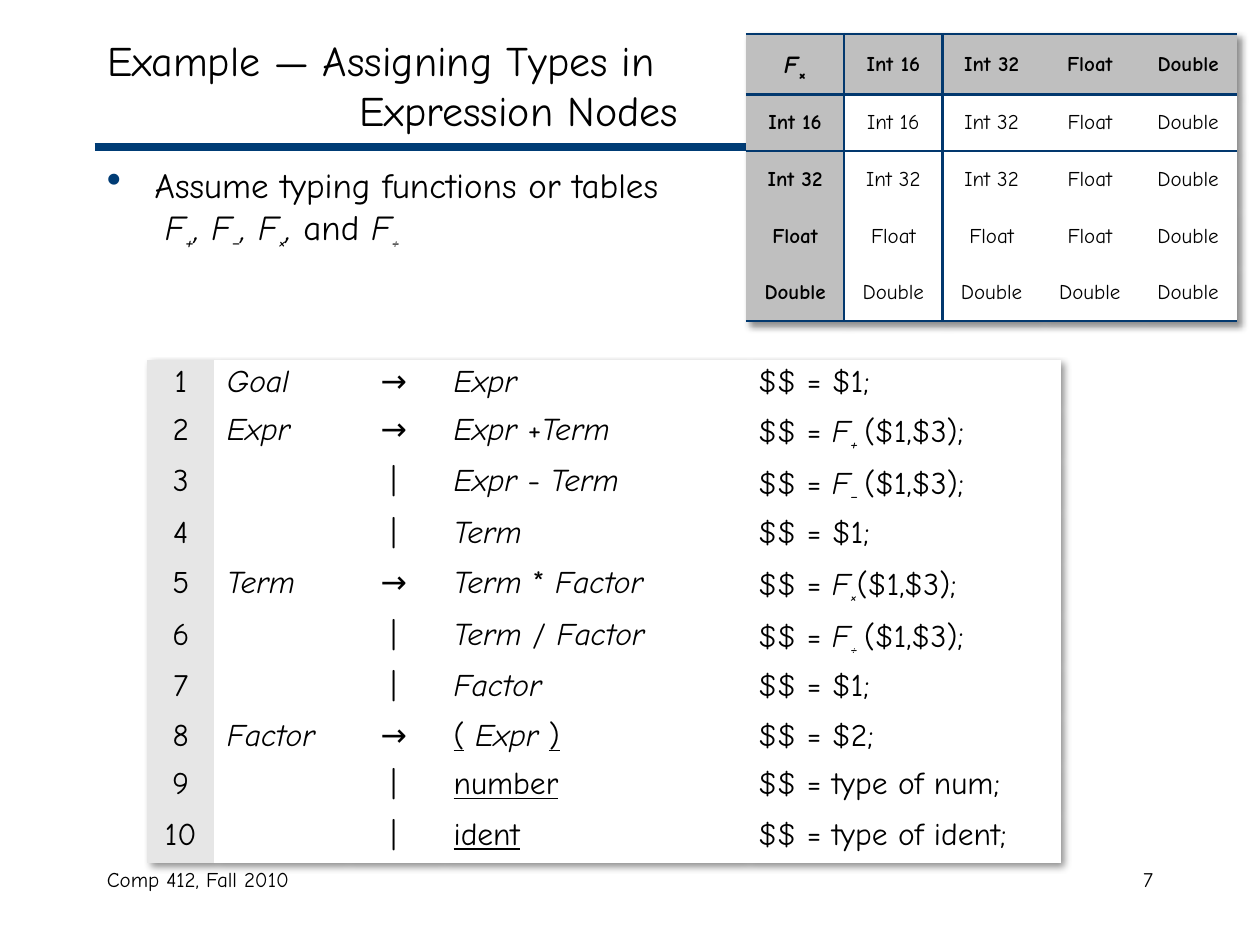
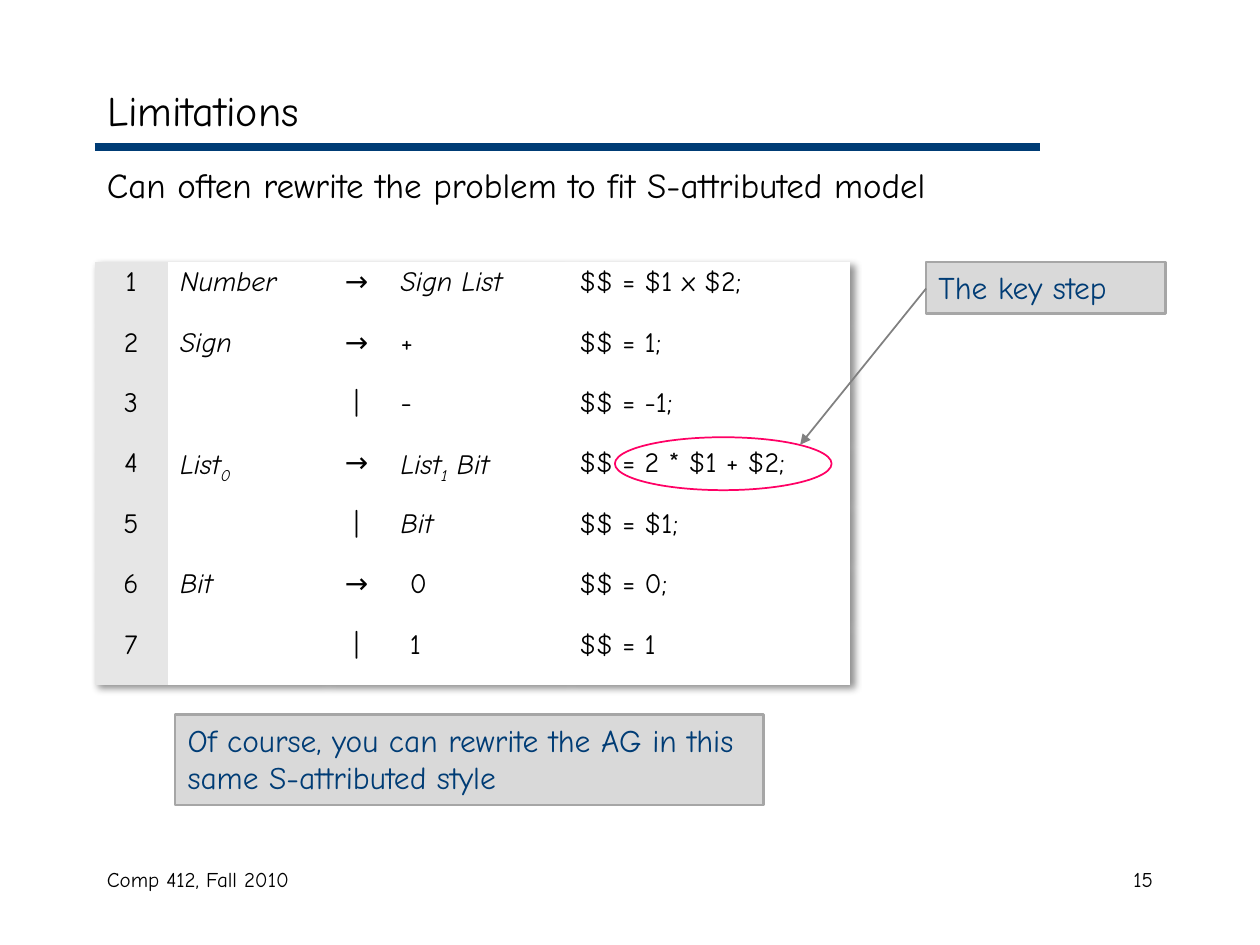
"""Build two slides on typing and evaluating grammars with attribute rules."""
from dataclasses import dataclass
from itertools import product

from lxml import etree
from pptx import Presentation
from pptx.dml.color import RGBColor
from pptx.enum import shapes, text
from pptx.oxml import parse_xml
from pptx.oxml.ns import nsdecls, qn
from pptx.util import Inches, Pt


@dataclass(frozen=True)
class Theme:
    font: str = "Comic Neue"
    ink: str = "000000"
    navy: str = "003C75"
    table_rule: str = "02386E"
    white: str = "FFFFFF"
    number_fill: str = "E6E6E6"
    header_fill: str = "BFBFBF"
    callout_fill: str = "D9D9D9"
    callout_line: str = "A6A6A6"
    ring: str = "FF0065"
    arrow: str = "808080"
    title_size: int = 24
    body_size: int = 20
    callout_size: int = 18
    small_size: int = 12


theme = Theme()
NO_TABLE_STYLE = "{2D5ABB26-0587-4C30-8999-92F81FD0307C}"


def write(paragraph, marked, size, color=theme.ink, bold=False):
    """Add runs to a paragraph; ~ toggles italic, ^ subscript and ` underline."""
    active = {"~": False, "^": False, "`": False}
    piece = ""
    for character in marked + "~":
        if character not in active:
            piece += character
            continue
        if piece:
            run = paragraph.add_run()
            run.text = piece
            run.font.name = theme.font
            run.font.size = Pt(size)
            run.font.bold = bold
            run.font.italic = active["~"]
            run.font.underline = active["`"]
            run.font.color.rgb = RGBColor.from_string(color)
            if active["^"]:
                run._r.get_or_add_rPr().set("baseline", "-25000")
        piece = ""
        active[character] = not active[character]


def add_grid(slide, left, top, widths, row_height, row_count):
    """Add an unstyled table with a soft shadow and return it."""
    frame = slide.shapes.add_table(row_count, len(widths), Inches(left), Inches(top),
                                   Inches(sum(widths)), Inches(row_height * row_count))
    table = frame.table
    table.first_row = table.horz_banding = False
    for column, width in zip(table.columns, widths):
        column.width = Inches(width)
    for row in table.rows:
        row.height = Inches(row_height)
    properties = table._tbl.tblPr
    properties.find(qn("a:tableStyleId")).text = NO_TABLE_STYLE
    properties.insert(0, parse_xml(
        f'<a:effectLst {nsdecls("a")}><a:outerShdw blurRad="50800" dist="38100" dir="2700000" '
        'algn="tl" rotWithShape="0"><a:srgbClr val="000000"><a:alpha val="43000"/></a:srgbClr>'
        '</a:outerShdw></a:effectLst>'))
    return table


pages = [
    dict(
        number="7", title=["Example — Assigning Types in", "Expression Nodes"],
        title_top=0.17, title_height=1,
        body=["Assume typing functions or tables", "~F^+^, F^−^, F^×^, ~and~ F^÷^~"],
        body_indents=[(0.38, -0.38), (0.46, 0)], bullet=True,
        left=1.17, top=2.86, widths=[0.53, 1.05, 0.75, 2.42, 2.5], row_height=0.38, size=18,
        rules=[
            ("Goal", "~Expr~", "$$ = $1;"),
            ("Expr", "~Expr ~+~Term~", "$$ = ~F^+ ^~($1,$3);"),
            ("", "~Expr ~- ~Term~", "$$ = ~F^− ^~($1,$3);"),
            ("", "~Term~", "$$ = $1;"),
            ("Term", "~Term ~*~ Factor~", "$$ = ~F^×^~($1,$3);"),
            ("", "~Term ~/~ Factor~", "$$ = ~F^÷ ^~($1,$3);"),
            ("", "~Factor~", "$$ = $1;"),
            ("Factor", "`(` ~Expr ~`)`", "$$ = $2;"),
            ("", "`number`", "$$ = type of num;"),
            ("", "`ident`", "$$ = type of ident;"),
        ]),
    dict(
        number="15", title=["Limitations"], title_top=0.58, title_height=0.58,
        body=["Can often rewrite the problem to fit S-attributed model"],
        body_indents=[(0.38, -0.38)], bullet=False,
        left=0.75, top=2.08, widths=[0.58, 1.25, 0.5, 1.42, 2.25], row_height=0.48, size=16,
        rules=[
            ("Number", "~Sign List~", "$$ = $1 x $2;"),
            ("Sign", "+", "$$ = 1;"),
            ("", "-", "$$ = -1;"),
            ("List^0^", "~List^1^ Bit~", "$$ = 2 * $1 + $2;"),
            ("", "~Bit~", "$$ = $1;"),
            ("Bit", " 0", "$$ = 0;"),
            ("", " 1", "$$ = 1"),
        ]),
]

presentation = Presentation()
presentation.slide_width = Inches(10)
presentation.slide_height = Inches(7.5)

for page in pages:
    slide = presentation.slides.add_slide(presentation.slide_layouts[5])

    title_rule = slide.shapes.add_connector(shapes.MSO_CONNECTOR.STRAIGHT, Inches(0.75),
                                            Inches(1.17), Inches(8.25), Inches(1.17))
    title_rule.line.color.rgb = RGBColor.from_string(theme.navy)
    title_rule.line.width = Pt(4.5)
    etree.SubElement(title_rule._element.spPr, qn("a:effectLst"))

    title = slide.shapes.title
    title.left, title.top = Inches(0.75), Inches(page["title_top"])
    title.width, title.height = Inches(8.5), Inches(page["title_height"])
    title.text_frame.auto_size = text.MSO_AUTO_SIZE.NONE
    title.text_frame.vertical_anchor = text.MSO_ANCHOR.MIDDLE
    for index, line in enumerate(page["title"]):
        paragraph = title.text_frame.paragraphs[0] if index == 0 else title.text_frame.add_paragraph()
        paragraph.alignment = text.PP_ALIGN.LEFT
        paragraph.space_before = Pt(0)
        paragraph._p.get_or_add_pPr().set("marL", str(Inches(2 * index)))
        write(paragraph, line, theme.title_size)

    for left, width, label, alignment in [
        (0.75, 3.17, "Comp 412, Fall 2010", text.PP_ALIGN.LEFT),
        (7.17, 2.08, page["number"], text.PP_ALIGN.RIGHT),
    ]:
        footer = slide.shapes.add_textbox(Inches(left), Inches(6.83), Inches(width), Inches(0.5))
        footer.text_frame.word_wrap = True
        footer.text_frame.paragraphs[0].alignment = alignment
        write(footer.text_frame.paragraphs[0], label, theme.small_size)

    body = slide.shapes.add_textbox(Inches(0.75), Inches(1.25), Inches(8.5), Inches(5.42))
    body.text_frame.word_wrap = True
    for index, (line, (margin, indent)) in enumerate(zip(page["body"], page["body_indents"])):
        paragraph = body.text_frame.paragraphs[0] if index == 0 else body.text_frame.add_paragraph()
        properties = paragraph._p.get_or_add_pPr()
        properties.set("marL", str(Inches(margin)))
        properties.set("indent", str(Inches(indent)))
        if page["bullet"] and index == 0:
            color = etree.SubElement(properties, qn("a:buClr"))
            etree.SubElement(color, qn("a:srgbClr"), val=theme.navy)
            etree.SubElement(properties, qn("a:buSzPct"), val="120000")
            etree.SubElement(properties, qn("a:buChar"), char="•")
        write(paragraph, line, theme.body_size)

    grammar = add_grid(slide, page["left"], page["top"], page["widths"],
                       page["row_height"], len(page["rules"]))
    for row, (symbol, production, action) in enumerate(page["rules"]):
        values = [str(row + 1), f"~{symbol}~", "→" if symbol else "|", production, action]
        for column, value in enumerate(values):
            cell = grammar.cell(row, column)
            cell.fill.solid()
            cell.fill.fore_color.rgb = RGBColor.from_string(
                theme.white if column else theme.number_fill)
            paragraph = cell.text_frame.paragraphs[0]
            paragraph.line_spacing = 0.9
            paragraph.alignment = text.PP_ALIGN.CENTER if column in (0, 2) else text.PP_ALIGN.LEFT
            write(paragraph, value, page["size"])

typing_slide, limits_slide = presentation.slides

types = ["Int 16", "Int 32", "Float", "Double"]
labels = ["~F~^×^"] + types
last = len(types)
type_table = add_grid(typing_slide, 5.92, 0.27, [0.78] * len(labels), 0.45, len(labels))
for row, column in product(range(len(labels)), repeat=2):
    is_header = row == 0 or column == 0
    cell = type_table.cell(row, column)
    cell.vertical_anchor = text.MSO_ANCHOR.MIDDLE
    cell.fill.solid()
    cell.fill.fore_color.rgb = RGBColor.from_string(
        theme.header_fill if is_header else theme.white)
    paragraph = cell.text_frame.paragraphs[0]
    paragraph.alignment = text.PP_ALIGN.CENTER
    write(paragraph, labels[max(row, column)], theme.small_size, bold=is_header)
    borders = [("a:lnL", column == 1), ("a:lnR", column == 0),
               ("a:lnT", row in (0, 1)), ("a:lnB", row in (0, last))]
    for position, tag in enumerate(tag for tag, shown in borders if shown):
        cell._tc.get_or_add_tcPr().insert(position, parse_xml(
            f'<{tag} {nsdecls("a")} w="{Pt(1.5)}"><a:solidFill>'
            f'<a:srgbClr val="{theme.table_rule}"/></a:solidFill></{tag}>'))
function_runs = type_table.cell(0, 0).text_frame.paragraphs[0].runs
for run, size in zip(function_runs, (14, 20)):
    run.font.size = Pt(size)

for left, top, width, height, message in [
    (1.39, 5.67, 4.67, 0.72, "Of course, you can rewrite the AG in this same S-attributed style"),
    (7.35, 2.08, 1.9, 0.41, "The key step"),
]:
    callout = limits_slide.shapes.add_shape(shapes.MSO_SHAPE.RECTANGLE, Inches(left), Inches(top),
                                            Inches(width), Inches(height))
    callout.shadow.inherit = False
    callout.fill.solid()
    callout.fill.fore_color.rgb = RGBColor.from_string(theme.callout_fill)
    callout.line.color.rgb = RGBColor.from_string(theme.callout_line)
    callout.line.width = Pt(1.5)
    callout.text_frame.word_wrap = True
    callout.text_frame.vertical_anchor = text.MSO_ANCHOR.TOP
    callout.text_frame.paragraphs[0].alignment = text.PP_ALIGN.LEFT
    write(callout.text_frame.paragraphs[0], message, theme.callout_size, theme.navy)

ring = limits_slide.shapes.add_shape(shapes.MSO_SHAPE.OVAL, Inches(4.88), Inches(3.47),
                                     Inches(1.72), Inches(0.42))
ring.shadow.inherit = False
ring.fill.background()
ring.line.color.rgb = RGBColor.from_string(theme.ring)
ring.line.width = Pt(1)

arrow = limits_slide.shapes.add_connector(shapes.MSO_CONNECTOR.STRAIGHT, Inches(7.35),
                                          Inches(2.29), Inches(6.35), Inches(3.53))
arrow.line.color.rgb = RGBColor.from_string(theme.arrow)
arrow.line.width = Pt(1)
etree.SubElement(arrow.line._get_or_add_ln(), qn("a:tailEnd"), type="triangle")
etree.SubElement(arrow._element.spPr, qn("a:effectLst"))

presentation.save("out.pptx")
